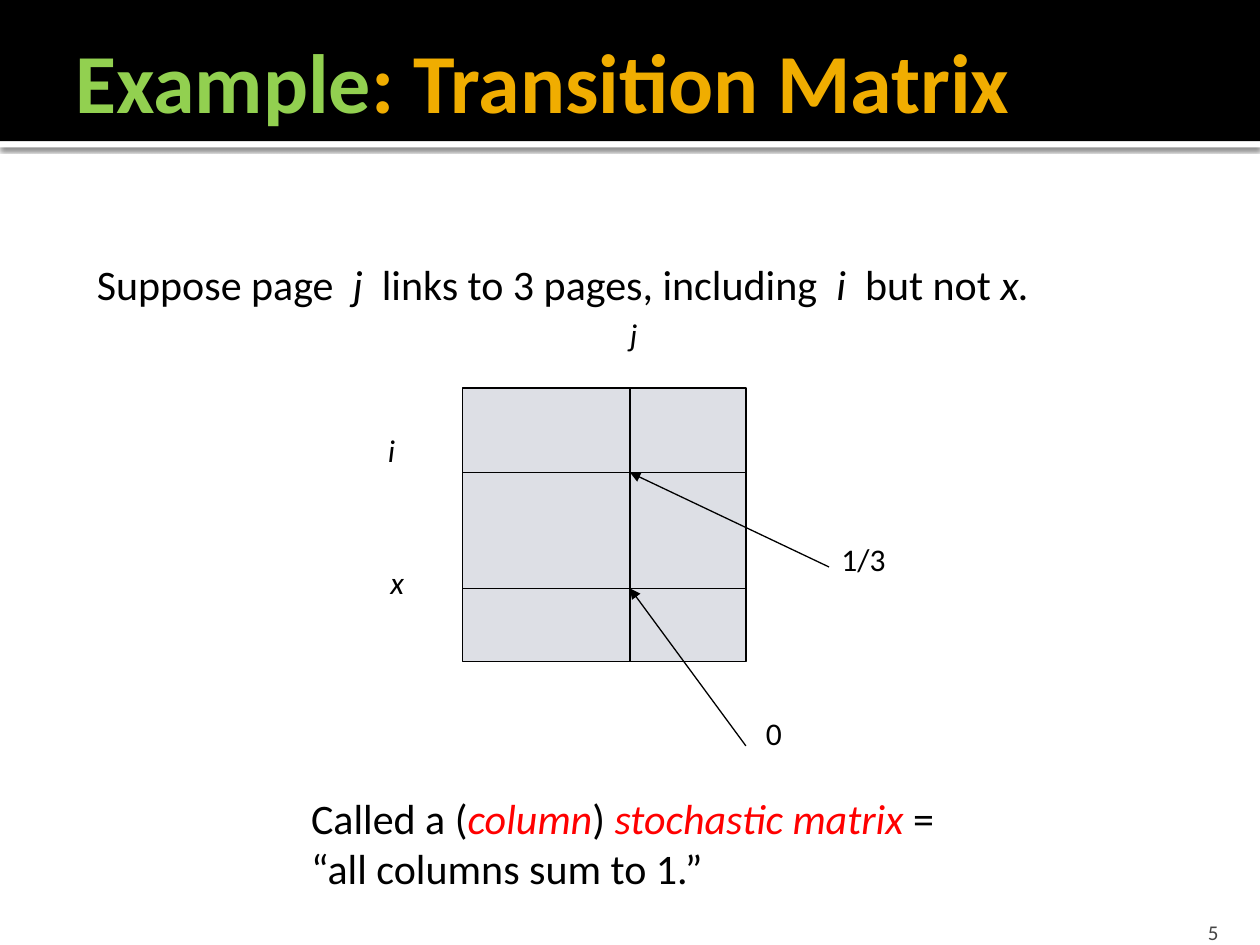
import pptx
import pptx.util
import pptx.dml.color
import pptx.enum.shapes
import pptx.enum.text
import pptx.oxml
import pptx.oxml.ns

Inches = pptx.util.Inches
Pt = pptx.util.Pt
ANCHOR = pptx.enum.text.MSO_ANCHOR
ALIGN = pptx.enum.text.PP_ALIGN

BLACK, WHITE, RED = "000000", "FFFFFF", "FF0000"
GREEN, GOLD, GREY, PALE = "92D050", "F0AD00", "454545", "DDDFE5"
NS = pptx.oxml.ns.nsdecls("a")

LEFT, TOP, RIGHT, BOTTOM = 3.67, 3.08, 5.92, 5.25
COL_J, ROW_I, ROW_X = 5, 3.75, 4.67


def color(code):
    return pptx.dml.color.RGBColor.from_string(code)


def add_rect(slide, left, top, width, height, fill, line=None):
    kind = pptx.enum.shapes.MSO_SHAPE.RECTANGLE
    rect = slide.shapes.add_shape(
        kind, Inches(left), Inches(top), Inches(width), Inches(height))
    rect.shadow.inherit = False
    rect.fill.solid()
    rect.fill.fore_color.rgb = color(fill)
    if line:
        rect.line.color.rgb = color(line)
        rect.line.width = Pt(0.75)
    else:
        rect.line.fill.background()
    return rect


def cast_shadow(shape):
    """Give the shape a soft shadow that falls straight down."""
    effects = shape._element.spPr.find(pptx.oxml.ns.qn("a:effectLst"))
    effects.append(pptx.oxml.parse_xml(
        f'<a:outerShdw {NS} blurRad="{Pt(2.5)}" dist="{Pt(0.8)}" dir="5400000"'
        ' algn="t" rotWithShape="0"><a:srgbClr val="000000">'
        '<a:alpha val="60000"/></a:srgbClr></a:outerShdw>'))


def add_line(slide, start, end, arrow=False):
    kind = pptx.enum.shapes.MSO_CONNECTOR.STRAIGHT
    line = slide.shapes.add_connector(kind, *map(Inches, start + end))
    line.line.color.rgb = color(BLACK)
    line.line.width = Pt(0.75)
    if arrow:
        line.line._get_or_add_ln().append(
            pptx.oxml.parse_xml(f'<a:tailEnd {NS} type="triangle"/>'))
    line._element.spPr.append(pptx.oxml.parse_xml(f"<a:effectLst {NS}/>"))


def add_text(slide, left, top, width, height, *paras, size=18, ink=BLACK,
             bold=False, italic=False, align=ALIGN.LEFT, anchor=ANCHOR.TOP,
             right=0.1, bottom=0.05):
    """Add paragraphs; each is a list of runs: (text, own format)."""
    box = slide.shapes.add_textbox(
        Inches(left), Inches(top), Inches(width), Inches(height))
    frame = box.text_frame
    frame.word_wrap = True
    frame.vertical_anchor = anchor
    frame.margin_right = Inches(right)
    frame.margin_bottom = Inches(bottom)
    for index, runs in enumerate(paras):
        para = frame.add_paragraph() if index else frame.paragraphs[0]
        para.alignment = align
        for text, style in runs:
            run = para.add_run()
            run.text = text
            run.font.name = "Calibri"
            run.font.size = Pt(size)
            run.font.bold = bold
            run.font.italic = style.get("italic", italic)
            run.font.color.rgb = color(style.get("ink", ink))


def add_header(slide):
    cast_shadow(add_rect(slide, 0, 1.12, 10, 0.05, WHITE))
    add_rect(slide, 0, 0, 10, 1.12, BLACK)
    add_text(slide, 0.5, 0.17, 9.5, 0.92,
             [("Example", {"ink": GREEN}), (": Transition Matrix", {})],
             size=48, ink=GOLD, bold=True, anchor=ANCHOR.MIDDLE, right=0.05)


def add_matrix(slide):
    add_rect(slide, LEFT, TOP, RIGHT - LEFT, BOTTOM - TOP, PALE, BLACK)
    for row in (ROW_I, ROW_X):
        add_line(slide, (LEFT, row), (RIGHT, row))
    add_line(slide, (COL_J, TOP), (COL_J, BOTTOM))
    add_line(slide, (6.58, 4.5), (COL_J, ROW_I), arrow=True)
    add_line(slide, (RIGHT, 5.92), (COL_J, ROW_X), arrow=True)
    for text, left, top, width, italic in (
            ("i", 2.98, 3.37, 0.28, True),
            ("j", 4.9, 2.45, 0.3, True),
            ("x", 3, 4.42, 0.37, True),
            ("1/3", 6.58, 4.24, 0.69, False),
            ("0", 5.98, 5.62, 0.38, False)):
        add_text(slide, left, top, width, 0.5, [(text, {})], italic=italic)


def main():
    deck = pptx.Presentation()
    deck.slide_width, deck.slide_height = Inches(10), Inches(7.5)
    slide = deck.slides.add_slide(deck.slide_layouts[6])
    slant = {"italic": True}
    term = {"italic": True, "ink": RED}

    add_header(slide)
    add_text(slide, 0.67, 2, 7.7, 0.5,
             [("Suppose page  ", {}), ("j  ", slant),
              ("links to 3 pages, including  ", {}), ("i  ", slant),
              ("but not", {}), (" x.", slant)], size=24)
    add_matrix(slide)
    add_text(slide, 2.37, 6.24, 5.21, 0.91,
             [("Called a (", {}), ("column", term), (") ", {}),
              ("stochastic matrix ", term), ("=", {})],
             [("“all columns sum to 1.”", {})], size=24)
    add_text(slide, 8.97, 7.2, 0.8, 0.3, [("5", {})], size=12, ink=GREY,
             align=ALIGN.RIGHT, anchor=ANCHOR.BOTTOM, bottom=0)
    deck.save("out.pptx")


if __name__ == "__main__":
    main()
